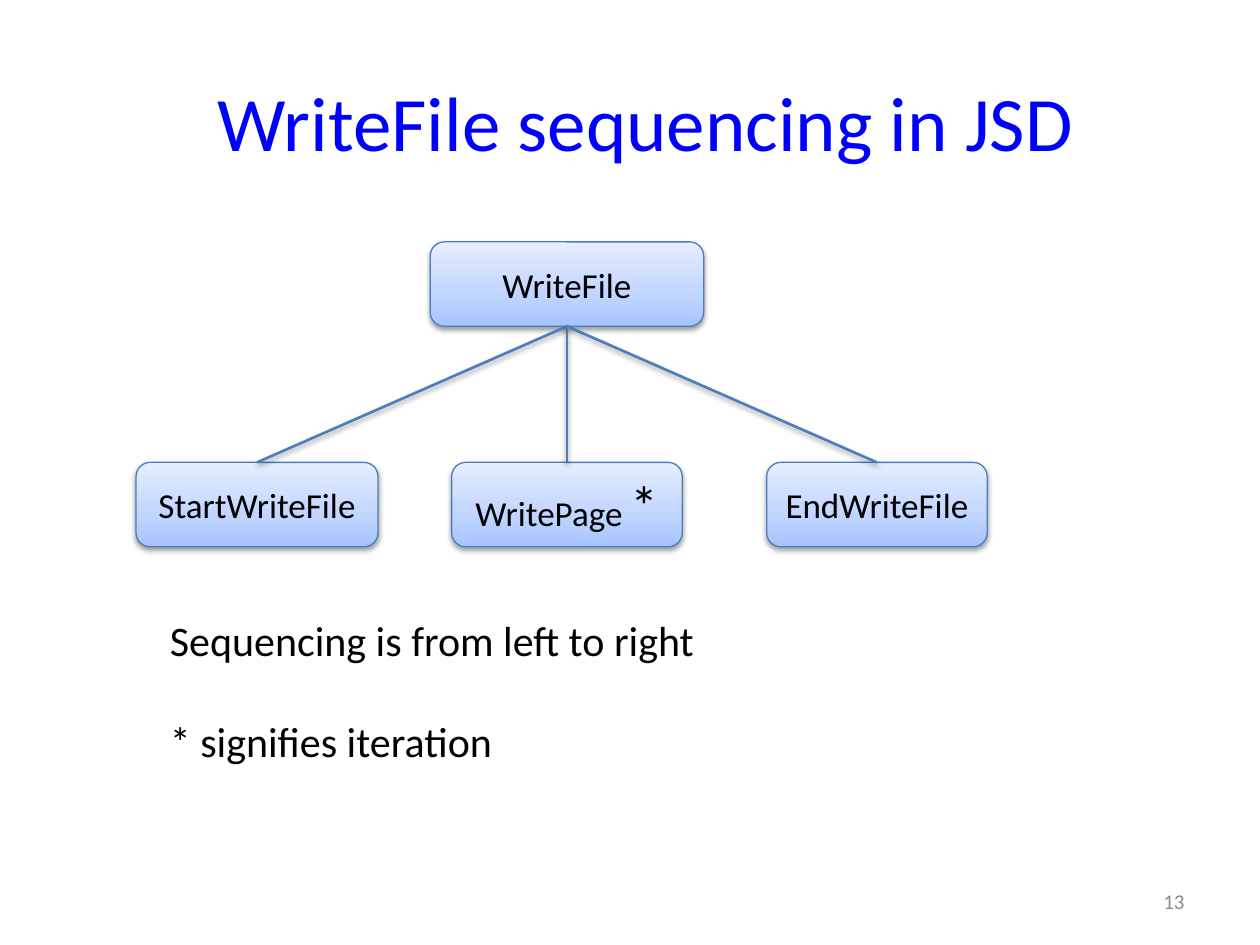
from lxml import etree
from pptx import Presentation
from pptx.dml.color import RGBColor
from pptx.enum import shapes, text
from pptx.oxml import ns
from pptx.util import Inches, Pt

COLORS = {"title": "0000FF", "body": "000000", "edge": "4B7EBC", "number": "8C8C8C",
          "low": "A4C4FF", "mid": "BFD4FF", "high": "E6EEFF"}
SHADOW = (f'<a:effectLst {ns.nsdecls("a")}><a:outerShdw blurRad="{Pt(3.1)}" dist="{Pt(1.6)}" '
          'dir="5400000" rotWithShape="0"><a:srgbClr val="000000"><a:alpha val="38000"/>'
          '</a:srgbClr></a:outerShdw></a:effectLst>')
STOPS = "".join(f'<a:gs pos="{pos}"><a:srgbClr val="{COLORS[name]}"/></a:gs>'
                for pos, name in ((0, "low"), (35000, "mid"), (100000, "high")))
GRADIENT = (f'<a:gradFill {ns.nsdecls("a")} rotWithShape="1"><a:gsLst>{STOPS}</a:gsLst>'
            '<a:lin ang="16200000" scaled="0"/></a:gradFill>')


def write(frame, paragraphs, size, color, align, wrap=True, anchor=text.MSO_ANCHOR.MIDDLE):
    for key, value in {"word_wrap": wrap, "vertical_anchor": anchor}.items():
        setattr(frame, key, value)
    for index, runs in enumerate(paragraphs):
        paragraph = frame.add_paragraph() if index else frame.paragraphs[0]
        paragraph.alignment = align
        if index:
            paragraph.space_before = Pt(29)
        for words, run_size in runs:
            run = paragraph.add_run()
            run.text = words
            for key, value in {"name": "Calibri", "size": Pt(run_size or size)}.items():
                setattr(run.font, key, value)
            run.font.color.rgb = RGBColor.from_string(COLORS[color])


def outline(part, width):
    part.line.color.rgb = RGBColor.from_string(COLORS["edge"])
    part.line.width = Pt(width)
    part._element.spPr.append(etree.fromstring(SHADOW))


deck = Presentation()
deck.slide_width, deck.slide_height = Inches(10), Inches(7.5)
slide = deck.slides.add_slide(deck.slide_layouts[6])

title = slide.shapes.add_textbox(Inches(0.5), Inches(0.33), Inches(9.25), Inches(1.25))
write(title.text_frame, [[("WriteFile sequencing in JSD", None)]], 44, "title",
      text.PP_ALIGN.CENTER)

root_x, root_y, child_y, box_height = 4.5, 1.92, 3.67, 0.67
operations = [
    (root_x, root_y, 2.17, [("WriteFile", None)]),
    (2.04, child_y, 1.92, [("StartWriteFile", None)]),
    (root_x, child_y, 1.83, [("WritePage ", None), ("*", 32)]),
    (6.96, child_y, 1.75, [("EndWriteFile", None)]),
]
for center, top, width, label in operations:
    operation = slide.shapes.add_shape(
        shapes.MSO_SHAPE.ROUNDED_RECTANGLE, Inches(center - width / 2), Inches(top),
        Inches(width), Inches(box_height))
    operation._element.spPr.append(etree.fromstring(GRADIENT))
    outline(operation, 0.75)
    write(operation.text_frame, [label], 20, "body", text.PP_ALIGN.CENTER)

for center, top, width, label in operations[1:]:
    branch = slide.shapes.add_connector(
        shapes.MSO_CONNECTOR.STRAIGHT, Inches(root_x), Inches(root_y + box_height),
        Inches(center), Inches(top))
    outline(branch, 1.5)

legend = slide.shapes.add_textbox(Inches(1.25), Inches(4.83), Inches(4.41), Inches(1.31))
write(legend.text_frame,
      [[("Sequencing is from left to right", None)], [("* signifies iteration", None)]],
      24, "body", text.PP_ALIGN.LEFT, wrap=False, anchor=text.MSO_ANCHOR.TOP)

page_number = slide.shapes.add_textbox(Inches(7.17), Inches(6.95), Inches(2.33), Inches(0.4))
write(page_number.text_frame, [[("13", None)]], 12, "number", text.PP_ALIGN.RIGHT)

deck.save("out.pptx")
